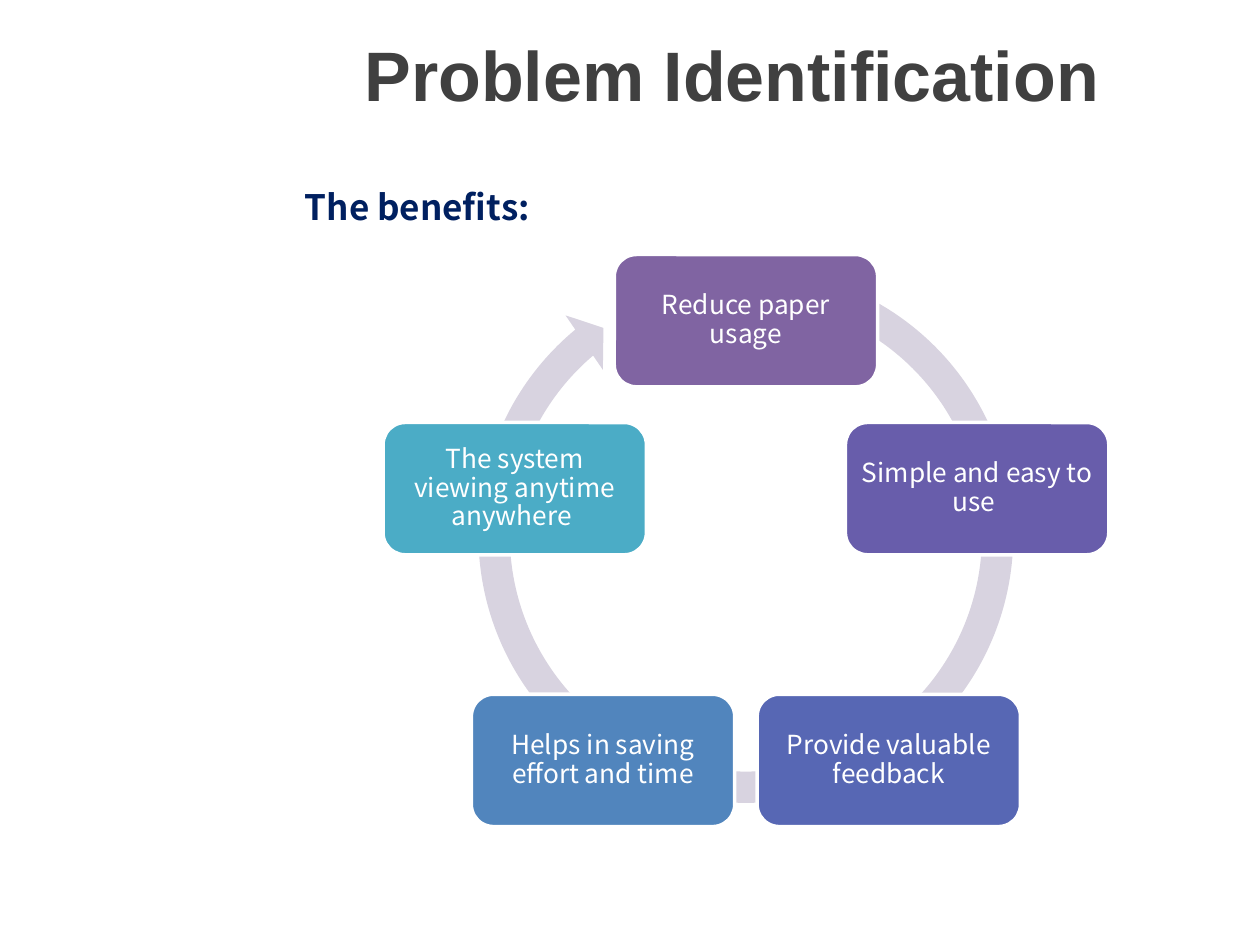
import math
from dataclasses import dataclass

from pptx import Presentation
from pptx.dml.color import RGBColor
from pptx.enum.shapes import MSO_SHAPE
from pptx.enum.text import MSO_ANCHOR, PP_ALIGN
from pptx.util import Inches, Pt

CENTER, LEFT = PP_ALIGN.CENTER, PP_ALIGN.LEFT
MIDDLE = MSO_ANCHOR.MIDDLE
ROUNDED, CIRCULAR_ARROW = MSO_SHAPE.ROUNDED_RECTANGLE, MSO_SHAPE.CIRCULAR_ARROW


@dataclass(frozen=True)
class Theme:
    title_font: str = "Arial"
    body_font: str = "Noto Sans CJK KR"
    title_size: int = 40
    heading_size: int = 20
    step_size: int = 15
    title: str = "404040"
    heading: str = "002060"
    ring: str = "D8D3E0"
    white: str = "FFFFFF"


THEME = Theme()

BENEFITS = [
    ("Reduce paper usage", "8064A2"),
    ("Simple and easy to use ", "685DAB"),
    ("Provide valuable feedback", "5767B4"),
    ("Helps in saving effort and time", "5185BD"),
    ("The system viewing anytime anywhere ", "4BACC6"),
]


def write(tf, text, font, size, color, bold=False, align=CENTER):
    tf.word_wrap = True
    tf.vertical_anchor = MIDDLE
    tf.text = text
    p = tf.paragraphs[0]
    p.alignment = align
    f = p.runs[0].font
    f.name, f.size, f.bold = font, Pt(size), bold
    f.color.rgb = RGBColor.from_string(color)
    return p


def add_filled(slide, kind, box, color):
    sp = slide.shapes.add_shape(kind, *map(Inches, box))
    sp.shadow.inherit = False
    sp.fill.solid()
    sp.fill.fore_color.rgb = RGBColor.from_string(color)
    sp.line.fill.background()
    return sp


def add_title(slide, box):
    tf = slide.shapes.add_textbox(*map(Inches, box)).text_frame
    write(tf, "Problem Identification ", THEME.title_font, THEME.title_size,
          THEME.title, bold=True)


def add_heading(slide, box):
    tf = slide.shapes.add_textbox(*map(Inches, box)).text_frame
    write(tf, "The benefits:", THEME.body_font, THEME.heading_size,
          THEME.heading, bold=True, align=LEFT)


def add_ring(slide, box):
    sp = add_filled(slide, CIRCULAR_ARROW, box, THEME.ring)
    for i, value in enumerate((0.055, 3.307, 138.021, 173.701, 0.058)):
        sp.adjustments[i] = value


def add_step(slide, box, text, color):
    sp = add_filled(slide, ROUNDED, box, color)
    sp.line.color.rgb = RGBColor.from_string(THEME.white)
    sp.line.width = Pt(2)
    tf = sp.text_frame
    tf.margin_left = tf.margin_right = tf.margin_top = tf.margin_bottom = Inches(0.06)
    p = write(tf, text, THEME.body_font, THEME.step_size, THEME.white)
    p.line_spacing = 0.9


def add_cycle(slide, box, steps, step_w=2.09, step_h=1.05):
    """Spread the steps clockwise from the top of the box, over a ring arrow."""
    left, top, width, height = box
    cx = left + width / 2
    radius = (width - step_w) / 2 / math.sin(math.tau / len(steps))
    cy = top + step_h / 2 + radius
    ring = 4.52
    add_ring(slide, (cx - ring / 2, top + (height - ring) / 2 - 0.04, ring, ring))
    for i, (text, color) in enumerate(steps):
        angle = math.tau * i / len(steps)
        x = cx + radius * math.sin(angle) - step_w / 2
        y = cy - radius * math.cos(angle) - step_h / 2
        add_step(slide, (x, y, step_w, step_h), text, color)


def main():
    prs = Presentation()
    prs.slide_width, prs.slide_height = Inches(10), Inches(7.5)
    slide = prs.slides.add_slide(prs.slide_layouts[6])
    add_title(slide, (1.77, 0, 8.23, 1.17))
    add_heading(slide, (2.32, 1.39, 7.18, 0.5))
    add_cycle(slide, (3.04, 2.02, 5.76, 4.54), BENEFITS)
    prs.save("out.pptx")


if __name__ == "__main__":
    main()
